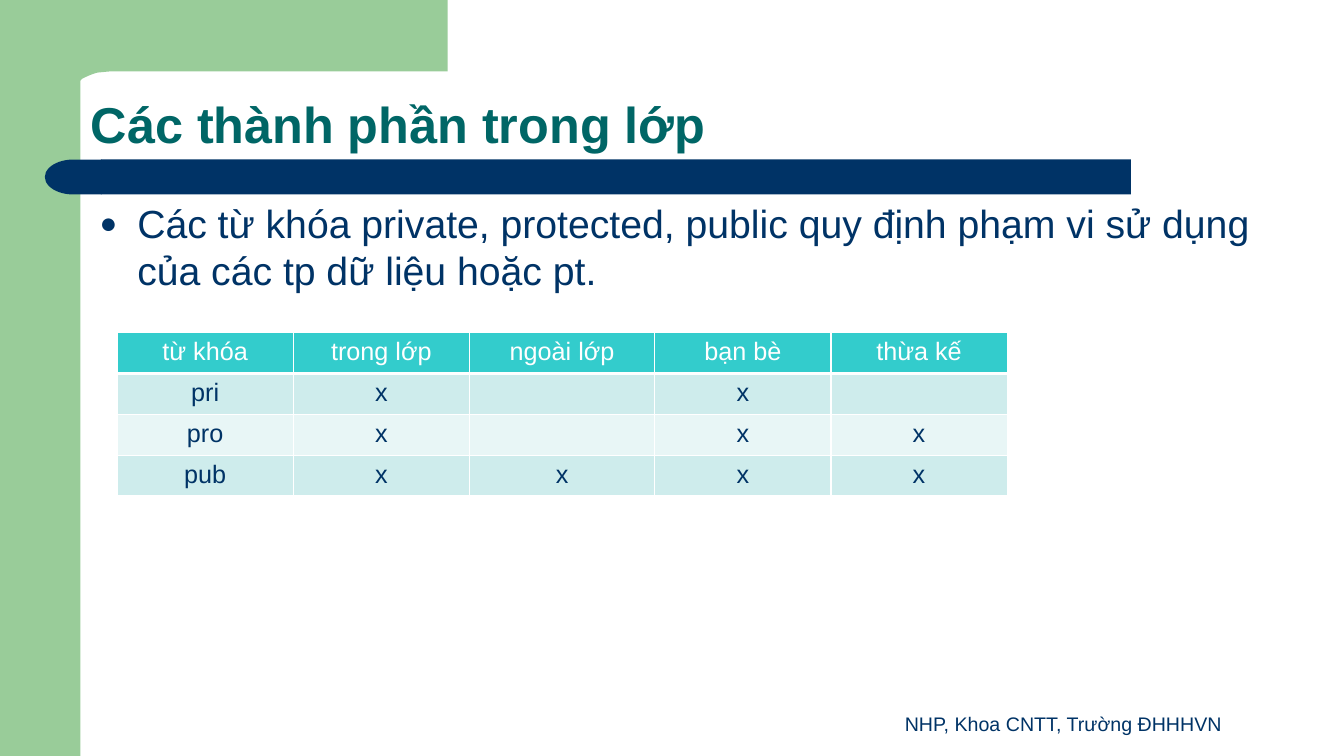
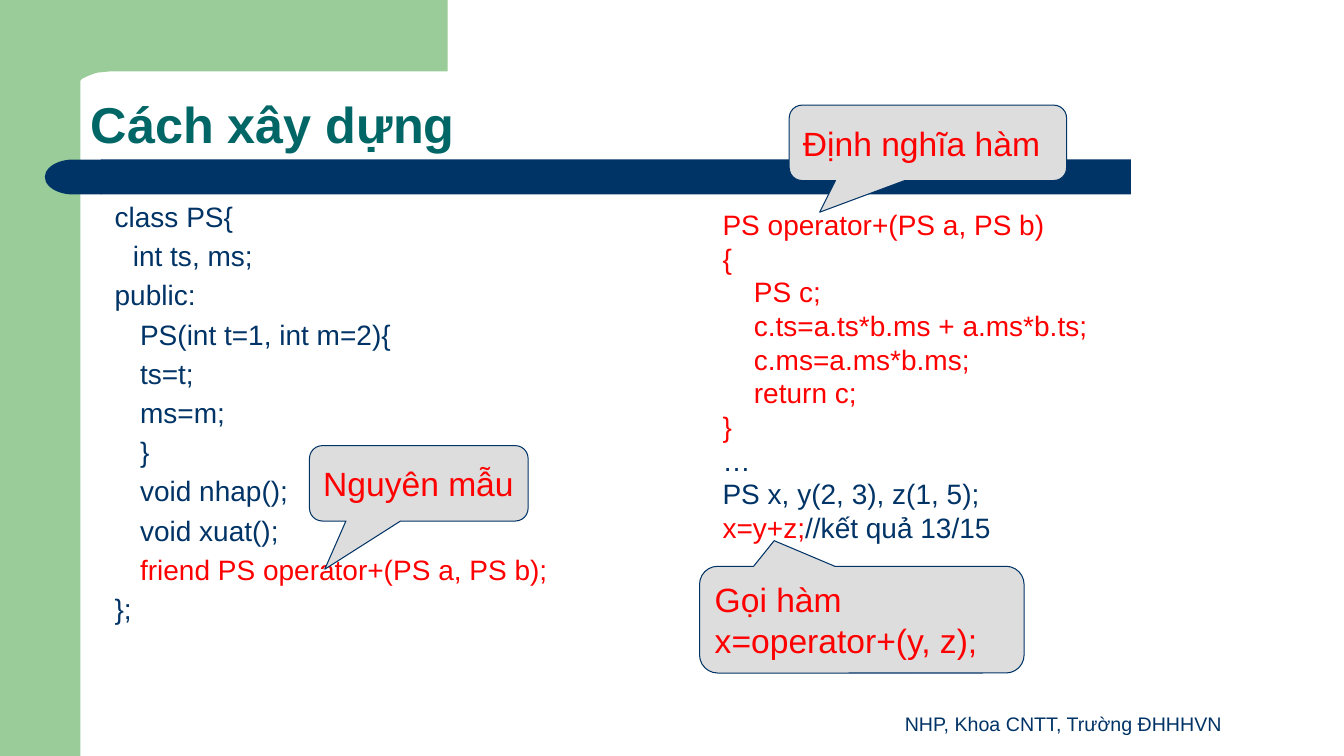
"""Build two Vietnamese lecture slides about C++ classes and operators."""
import pptx
import pptx.dml.color
import pptx.enum.shapes
import pptx.enum.text
import pptx.oxml
import pptx.oxml.ns
import pptx.util
from lxml import etree

Cm = pptx.util.Cm
Pt = pptx.util.Pt
SHAPE = pptx.enum.shapes.MSO_SHAPE
ANCHOR = pptx.enum.text.MSO_ANCHOR
ALIGN = pptx.enum.text.PP_ALIGN
qn = pptx.oxml.ns.qn

COLOURS = {
    "green": "99CC99", "navy": "003366", "teal": "006666", "red": "FF0000",
    "white": "FFFFFF", "callout": "DDDDDD", "header": "33CCCC",
    "odd_row": "CEECEC", "even_row": "E8F6F6",
}
FONT = "Arial"
TITLE_BOX = (2.03, 1.83, 30.15, 2.18)
TITLE_FRAME = {"vertical_anchor": ANCHOR.BOTTOM}
TITLE_PARAGRAPH = {"alignment": ALIGN.LEFT, "line_spacing": 0.9}
FOOTER = "NHP, Khoa CNTT, Trường ĐHHHVN"
FOOTER_BOX = (21.44, 17.35, 10.72, 1.32)


def rgb(name):
    return pptx.dml.color.RGBColor.from_string(COLOURS[name])


def assign(target, values):
    for attribute, value in values.items():
        setattr(target, attribute, value)


def place(box):
    return [Cm(length) for length in box]


def paint(shape, fill, line=None):
    shape.shadow.inherit = False
    shape.fill.solid()
    shape.fill.fore_color.rgb = rgb(fill)
    if line:
        shape.line.color.rgb = rgb(line)
        shape.line.width = Pt(0.75)
    else:
        shape.line.fill.background()


def add_paragraph_text(paragraph, runs, size, bold=False):
    for text, colour in runs:
        run = paragraph.add_run()
        run.text = text
        assign(run.font, {"name": FONT, "size": Pt(size), "bold": bold})
        run.font.color.rgb = rgb(colour)


def write(frame, lines, size, frame_format=None, paragraph_format=None, bold=False):
    assign(frame, {"word_wrap": True, "auto_size": pptx.enum.text.MSO_AUTO_SIZE.NONE})
    assign(frame, frame_format or {})
    for number, (indent, runs) in enumerate(lines):
        paragraph = frame.add_paragraph() if number else frame.paragraphs[0]
        assign(paragraph, {"alignment": ALIGN.LEFT})
        assign(paragraph, paragraph_format or {})
        if indent:
            paragraph._p.get_or_add_pPr().set("indent", str(Cm(indent)))
        add_paragraph_text(paragraph, runs, size, bold)


def add_text(slide, box, lines, size, frame_format=None, paragraph_format=None):
    frame = slide.shapes.add_textbox(*place(box)).text_frame
    write(frame, lines, size, frame_format, paragraph_format)
    return frame


def add_bullet(paragraph, hanging, colour):
    properties = paragraph._p.get_or_add_pPr()
    properties.set("marL", str(Cm(hanging)))
    properties.set("indent", str(-Cm(hanging)))
    bullet_colour = etree.SubElement(properties, qn("a:buClr"))
    etree.SubElement(bullet_colour, qn("a:srgbClr"), val=COLOURS[colour])
    etree.SubElement(properties, qn("a:buSzPct"), val="75000")
    etree.SubElement(properties, qn("a:buFont"), typeface=FONT)
    etree.SubElement(properties, qn("a:buChar"), char="●")


def curve(points, steps=6):
    a, b, c, d = points
    for step in range(1, steps + 1):
        t = step / steps
        u = 1 - t
        weights = (u ** 3, 3 * u * u * t, 3 * u * t * t, t ** 3)
        yield tuple(sum(w * p[axis] for w, p in zip(weights, (a, b, c, d)))
                    for axis in (0, 1))


def add_corner(slide):
    outline = [(11.28, 1.8), (2.77, 1.8), (2.46, 1.83)]
    outline += curve([(2.46, 1.83), (2.36, 1.85), (2.18, 1.93), (2.08, 1.98)])
    outline += curve([(2.08, 1.98), (1.98, 2.06), (1.91, 2.16), (1.85, 2.24)])
    outline += curve([(1.85, 2.24), (1.78, 2.31), (1.78, 2.41), (1.75, 2.49)])
    outline += [(1.75, 2.74), (0.56, 2.74), (0.56, 0)]
    builder = slide.shapes.build_freeform(Cm(11.28), 0)
    builder.add_line_segments([(Cm(x), Cm(y)) for x, y in outline])
    return builder.convert_to_shape()


def decorate_layout(layout, slide):
    for placeholder in list(layout.placeholders):
        if placeholder.placeholder_format.idx:
            layout.shapes._spTree.remove(placeholder._element)
    side_band = slide.shapes.add_shape(SHAPE.RECTANGLE, *place((0, 0, 2.03, 19.05)))
    corner = add_corner(slide)
    bar = slide.shapes.add_shape(SHAPE.RECTANGLE, *place((2.54, 4.02, 25.96, 0.88)))
    bar_end = slide.shapes.add_shape(
        SHAPE.FLOWCHART_DELAY, *place((1.13, 4.02, 1.43, 0.88)))
    bar_end.rotation = 180
    for part, colour in ((side_band, "green"), (corner, "green"),
                         (bar, "navy"), (bar_end, "navy")):
        paint(part, colour)
        layout.shapes._spTree.append(part._element)


def add_title(slide, text):
    title = slide.shapes.title
    assign(title, dict(zip(("left", "top", "width", "height"), place(TITLE_BOX))))
    write(title.text_frame, [(0, [(text, "teal")])], 36,
          TITLE_FRAME, TITLE_PARAGRAPH, bold=True)


def add_footer(slide):
    add_text(slide, FOOTER_BOX, [(0, [(FOOTER, "navy")])], 14,
             {"vertical_anchor": ANCHOR.BOTTOM}, {"alignment": ALIGN.CENTER})


def add_callout(slide, box, pointer, texts):
    callout = slide.shapes.add_shape(SHAPE.ROUNDED_RECTANGULAR_CALLOUT, *place(box))
    for number, value in enumerate((*pointer, 0.17)):
        callout.adjustments[number] = value
    paint(callout, "callout", "navy")
    write(callout.text_frame, [(0, [(text, "red")]) for text in texts], 24,
          {"vertical_anchor": ANCHOR.MIDDLE})


def add_borders(cell, bottom):
    properties = cell._tc.get_or_add_tcPr()
    for side, width in (("L", 1), ("R", 1), ("T", 1), ("B", bottom)):
        border = etree.SubElement(properties, qn("a:ln" + side), w=str(Pt(width)))
        fill = etree.SubElement(border, qn("a:solidFill"))
        etree.SubElement(fill, qn("a:srgbClr"), val=COLOURS["white"])


def add_access_table(slide, rows, widths, row_height):
    box = place((2.95, 8.38, sum(widths), row_height * len(rows)))
    table = slide.shapes.add_table(len(rows), len(widths), *box).table
    assign(table, {"first_row": False, "horz_banding": False})
    for column, width in zip(table.columns, widths):
        column.width = Cm(width)
    for number, texts in enumerate(rows):
        table.rows[number].height = Cm(row_height)
        fill = "header" if number == 0 else "odd_row" if number % 2 else "even_row"
        for column, text in enumerate(texts):
            cell = table.cell(number, column)
            add_borders(cell, 1 if number else 3)
            cell.fill.solid()
            cell.fill.fore_color.rgb = rgb(fill)
            paragraph = cell.text_frame.paragraphs[0]
            paragraph.alignment = ALIGN.CENTER
            if text:
                colour = "navy" if number else "white"
                add_paragraph_text(paragraph, [(text, colour)], 18)


def build_members_slide(slide):
    add_title(slide, "Các thành phần trong lớp")
    rule = ("Các từ khóa private, protected, public quy định phạm vi sử dụng "
            "của các tp dữ liệu hoặc pt.")
    body = add_text(slide, (2.26, 4.9, 29.9, 12.88), [(0, [(rule, "navy")])], 28,
                    paragraph_format={"space_before": Pt(5.6)})
    add_bullet(body.paragraphs[0], 0.95, "navy")
    add_access_table(slide, [
        ("từ khóa", "trong lớp", "ngoài lớp", "bạn bè", "thừa kế"),
        ("pri", "x", "", "x", ""),
        ("pro", "x", "", "x", "x"),
        ("pub", "x", "x", "x", "x"),
    ], (4.44, 4.44, 4.67, 4.44, 4.44), 1.03)
    add_footer(slide)


def build_operator_slide(slide):
    add_title(slide, "Cách xây dựng")
    class_code = [
        (0, "class PS{"), (0.46, "int ts, ms;"), (0, "public:"),
        (0.64, "PS(int t=1, int m=2){"), (0.64, "ts=t;"), (0.64, "ms=m;"),
        (0.64, "}"), (0.64, "void nhap();"), (0.64, "void xuat();"),
        (0.64, "friend PS operator+(PS a, PS b);"), (0, "};"),
    ]
    class_lines = [(indent, [(text, "red" if text.startswith("friend") else "navy")])
                   for indent, text in class_code]
    add_text(slide, (2.64, 4.9, 12.8, 12.88), class_lines, 20,
             paragraph_format={"space_before": Pt(4)})

    definition = [
        (0, "PS operator+(PS a, PS b)"), (0, "{"), (0.79, "PS c;"),
        (0.79, "c.ts=a.ts*b.ms + a.ms*b.ts;"), (0.79, "c.ms=a.ms*b.ms;"),
        (0.79, "return c;"), (0, "}"),
    ]
    usage = [
        (0, [("…", "navy")]),
        (0, [("PS x, y(2, 3), z(1, 5);", "navy")]),
        (0, [("x=y+z;", "red"), ("//kết quả 13/15", "navy")]),
    ]
    add_text(slide, (17.96, 5.11, 11.66, 8.81),
             [(indent, [(text, "red")]) for indent, text in definition] + usage, 20)

    add_callout(slide, (7.8, 11.23, 5.51, 1.9), (-0.43, 1.14), ["Nguyên mẫu"])
    add_callout(slide, (19.89, 2.65, 6.99, 1.9), (-0.39, 0.92), ["Định nghĩa hàm"])
    add_callout(slide, (17.63, 14.27, 8.18, 2.69), (-0.27, -0.74),
                ["Gọi hàm", "x=operator+(y, z);"])
    add_footer(slide)


def main():
    deck = pptx.Presentation()
    assign(deck, {"slide_width": Cm(33.87), "slide_height": Cm(19.05)})
    layout = deck.slide_layouts[5]
    members, operators = (deck.slides.add_slide(layout) for _ in range(2))
    decorate_layout(layout, members)
    build_members_slide(members)
    build_operator_slide(operators)
    deck.save("out.pptx")


if __name__ == "__main__":
    main()
